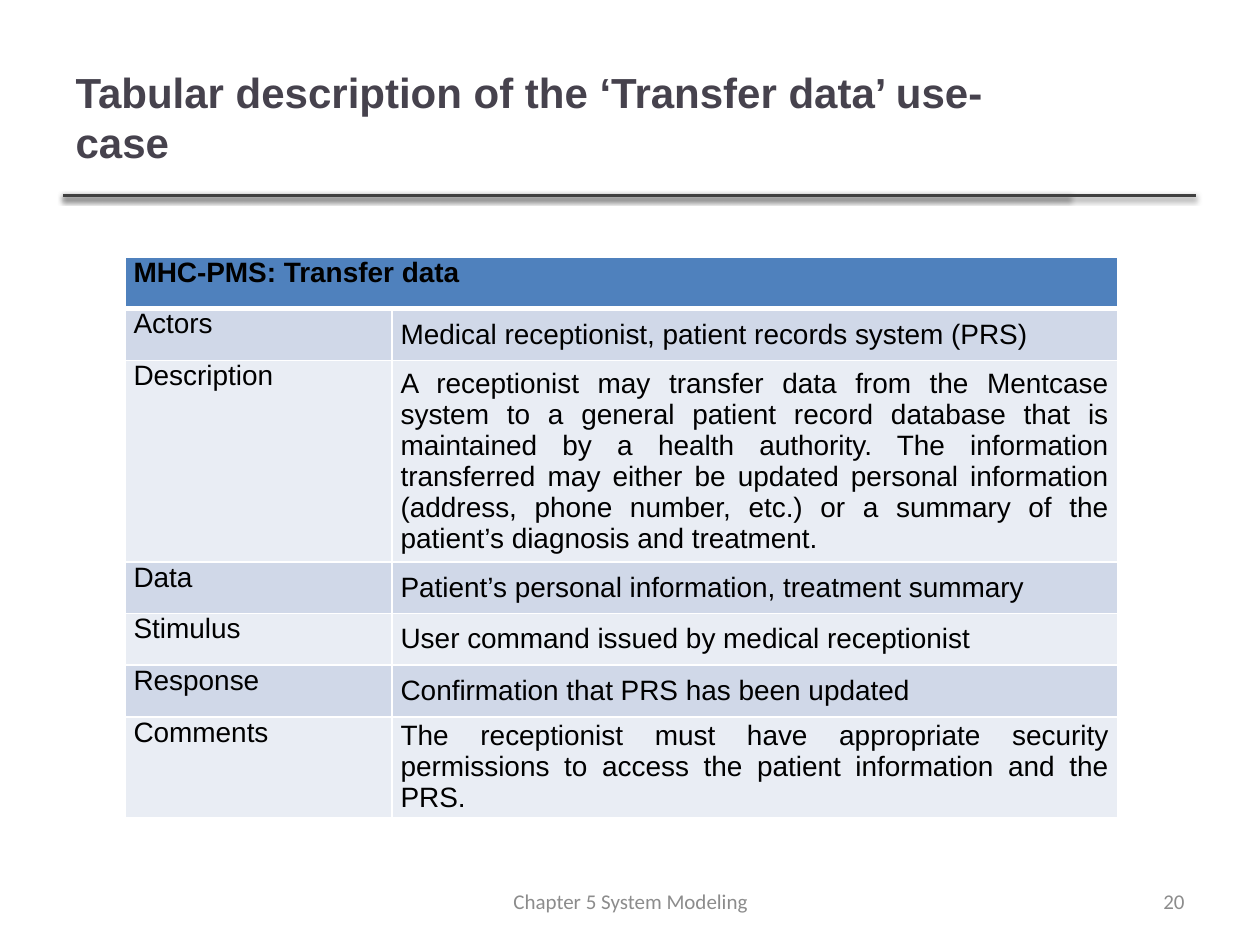
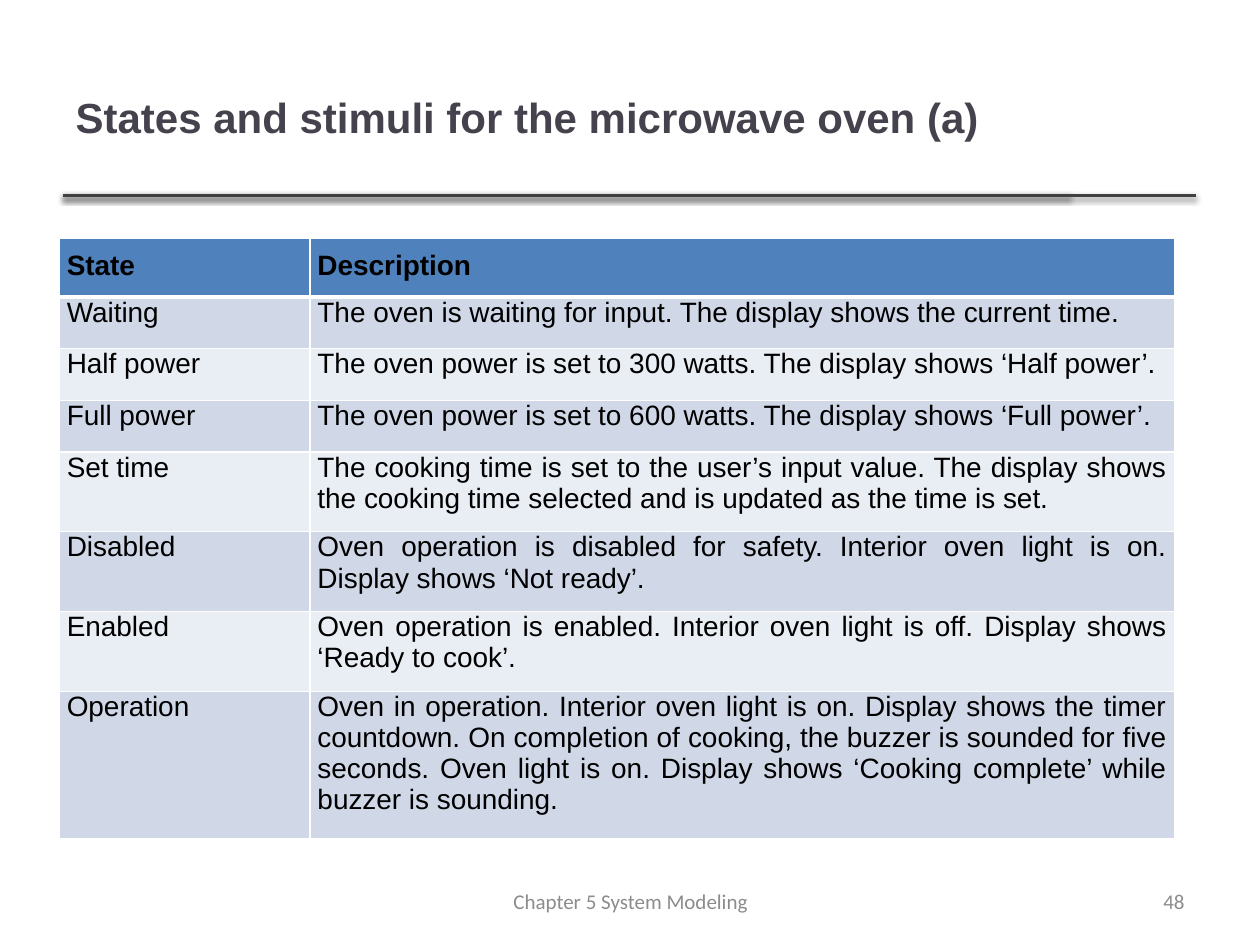
from dataclasses import dataclass

import lxml.etree
import pptx
import pptx.dml.color
import pptx.enum.shapes
import pptx.enum.text
import pptx.oxml
import pptx.util
from pptx.util import Inches

ALIGN = pptx.enum.text.PP_ALIGN
ANCHOR = pptx.enum.text.MSO_ANCHOR
NS = 'xmlns:a="http://schemas.openxmlformats.org/drawingml/2006/main"'

WHITE, BLACK = "FFFFFF", "000000"
TITLE_INK, RULE_INK, FOOTER_INK = "46424D", "404040", "8C8C8C"
HEADER_FILL = "4F81BD"
BAND_FILLS = ("D0D8E8", "E9EDF4")
FOOTER = "Chapter 5 System Modeling"
ROW_HEIGHT = 0.41
RULE_LEFT, RULE_RIGHTS, RULE_TOP = 0.5, (8.49, 9.49), 1.55


@dataclass
class TableSpec:
    left: float
    top: float
    columns: tuple[float, float]
    side_inset: float
    header_top_inset: float
    bottom_inset: float
    detail_anchor: ANCHOR
    rows: list[tuple[str, ...]]


@dataclass
class SlideSpec:
    title: str
    number: int
    table: TableSpec


SLIDES = [
    SlideSpec("Tabular description of the ‘Transfer data’ use-case", 20, TableSpec(
        0.99, 2.04, (2.12, 5.76), 0.07, 0, 0, ANCHOR.MIDDLE, [
            ("MHC-PMS: Transfer data",),
            ("Actors", "Medical receptionist, patient records system (PRS)"),
            ("Description",
             "A receptionist may transfer data from the Mentcase system to a general "
             "patient record database that is maintained by a health authority. The "
             "information transferred may either be updated personal information "
             "(address, phone number, etc.) or a summary of the patient’s diagnosis "
             "and treatment."),
            ("Data", "Patient’s personal information, treatment summary"),
            ("Stimulus", "User command issued by medical receptionist"),
            ("Response", "Confirmation that PRS has been updated"),
            ("Comments",
             "The receptionist must have appropriate security permissions to access "
             "the patient information and the PRS."),
        ])),
    SlideSpec("States and stimuli for the microwave oven (a)", 48, TableSpec(
        0.47, 1.89, (1.99, 6.86), 0.06, 0.1, 0.1, ANCHOR.TOP, [
            ("State", "Description"),
            ("Waiting",
             "The oven is waiting for input. The display shows the current time."),
            ("Half power",
             "The oven power is set to 300 watts. The display shows ‘Half power’."),
            ("Full power",
             "The oven power is set to 600 watts. The display shows ‘Full power’."),
            ("Set time",
             "The cooking time is set to the user’s input value. The display shows "
             "the cooking time selected and is updated as the time is set."),
            ("Disabled",
             "Oven operation is disabled for safety. Interior oven light is on. "
             "Display shows ‘Not ready’."),
            ("Enabled",
             "Oven operation is enabled. Interior oven light is off. Display shows "
             "‘Ready to cook’."),
            ("Operation",
             "Oven in operation. Interior oven light is on. Display shows the timer "
             "countdown. On completion of cooking, the buzzer is sounded for five "
             "seconds. Oven light is on. Display shows ‘Cooking complete’ while "
             "buzzer is sounding."),
        ])),
]


def rgb(color: str) -> pptx.dml.color.RGBColor:
    return pptx.dml.color.RGBColor.from_string(color)


def write(tf, text: str, *, size: float, color: str, font: str = "Arial",
          bold: bool = False, align: ALIGN = ALIGN.LEFT) -> None:
    p = tf.paragraphs[0]
    p.alignment = align
    r = p.add_run()
    r.text = text
    r.font.name, r.font.size, r.font.bold = font, pptx.util.Pt(size), bold
    r.font.color.rgb = rgb(color)


def add_rule(s, right: float) -> None:
    """Draw a horizontal title rule with a soft shadow below it."""
    line = s.shapes.add_connector(
        pptx.enum.shapes.MSO_CONNECTOR.STRAIGHT,
        Inches(RULE_LEFT), Inches(RULE_TOP), Inches(right), Inches(RULE_TOP))
    line.line.color.rgb = rgb(RULE_INK)
    line.line.width = pptx.util.Pt(2)
    line.element.spPr.append(pptx.oxml.parse_xml(
        f'<a:effectLst {NS}><a:outerShdw blurRad="{pptx.util.Pt(3.1)}" '
        f'dist="{pptx.util.Pt(1.6)}" dir="5400000" rotWithShape="0">'
        f'<a:srgbClr val="{BLACK}"><a:alpha val="38000"/></a:srgbClr>'
        '</a:outerShdw></a:effectLst>'))


def add_footer_text(s, text: str, left: float, width: float, align: ALIGN) -> None:
    tf = s.shapes.add_textbox(
        Inches(left), Inches(6.95), Inches(width), Inches(0.4)).text_frame
    tf.word_wrap = True
    tf.vertical_anchor = ANCHOR.MIDDLE
    write(tf, text, size=12, color=FOOTER_INK, font="Calibri", align=align)


def set_borders(cell, top: float, bottom: float) -> None:
    """Add white cell borders; must precede the fill in the cell properties."""
    tc_pr = cell._tc.get_or_add_tcPr()
    for side, width in (("L", 1), ("R", 1), ("T", top), ("B", bottom)):
        tc_pr.append(pptx.oxml.parse_xml(
            f'<a:ln{side} {NS} w="{pptx.util.Pt(width)}"><a:solidFill>'
            f'<a:srgbClr val="{WHITE}"/></a:solidFill></a:ln{side}>'))


def add_table(s, spec: TableSpec) -> None:
    count = len(spec.rows)
    table = s.shapes.add_table(
        count, len(spec.columns), Inches(spec.left), Inches(spec.top),
        Inches(sum(spec.columns)), Inches(ROW_HEIGHT * count)).table
    table.horz_banding = False
    for column, width in zip(table.columns, spec.columns):
        column.width = Inches(width)
    for i, (row, texts) in enumerate(zip(table.rows, spec.rows)):
        row.height = Inches(ROW_HEIGHT)
        header = i == 0
        for j, cell in enumerate(row.cells):
            set_borders(cell, 3 if i == 1 else 1, 3 if header else 1)
            cell.fill.solid()
            cell.fill.fore_color.rgb = rgb(
                HEADER_FILL if header else BAND_FILLS[(i - 1) % 2])
            cell.margin_left = cell.margin_right = Inches(spec.side_inset)
            cell.margin_top = Inches(spec.header_top_inset if header else 0)
            cell.margin_bottom = Inches(spec.bottom_inset)
            cell.vertical_anchor = spec.detail_anchor if j and not header else ANCHOR.TOP
            if j < len(texts):
                write(cell.text_frame, texts[j], size=16, color=BLACK,
                      bold=header, align=ALIGN.JUSTIFY)
        if len(texts) < len(spec.columns):
            row.cells[0].merge(table.cell(i, len(spec.columns) - 1))


def add_title(s, text: str) -> None:
    title = s.shapes.title
    title.left, title.top = Inches(0.5), Inches(0.3)
    title.width, title.height = Inches(7.98), Inches(1.25)
    tf = title.text_frame
    tf.auto_size = pptx.enum.text.MSO_AUTO_SIZE.NONE
    tf.vertical_anchor = ANCHOR.MIDDLE
    write(tf, text, size=24, color=TITLE_INK, bold=True)


def add_slide(prs, spec: SlideSpec) -> None:
    s = prs.slides.add_slide(prs.slide_layouts.get_by_name("Title Only"))
    for right in RULE_RIGHTS:
        add_rule(s, right)
    add_title(s, spec.title)
    add_footer_text(s, FOOTER, 3.42, 3.17, ALIGN.CENTER)
    add_footer_text(s, str(spec.number), 7.17, 2.33, ALIGN.RIGHT)
    add_table(s, spec.table)


def main() -> None:
    prs = pptx.Presentation()
    prs.slide_width, prs.slide_height = Inches(10), Inches(7.5)
    for spec in SLIDES:
        add_slide(prs, spec)
    prs.save("out.pptx")


if __name__ == "__main__":
    main()
